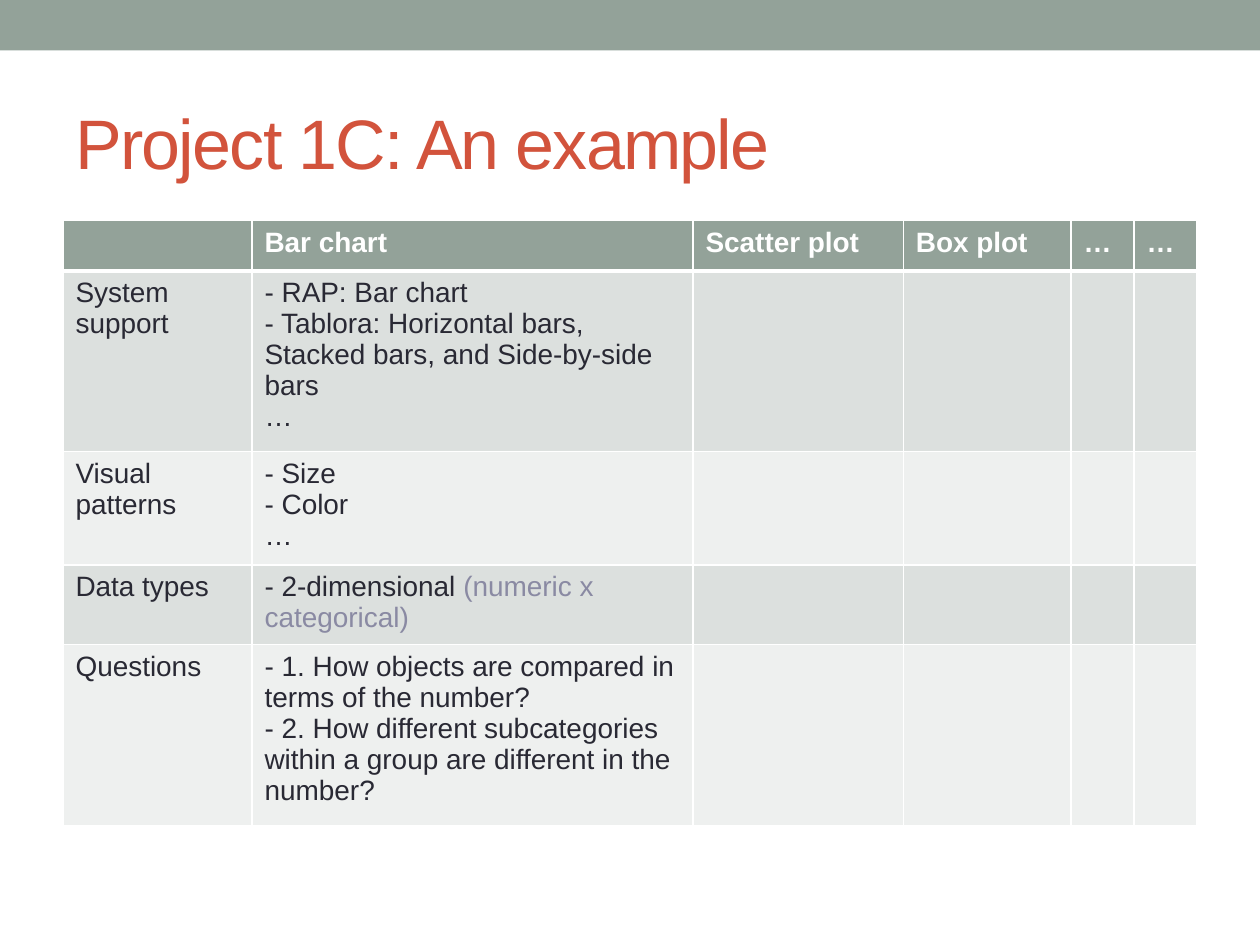
"""Build a slide with a table comparing chart types for Project 1C."""
from lxml.etree import SubElement
from pptx import Presentation
from pptx.dml.color import RGBColor
from pptx.enum.shapes import MSO_SHAPE
from pptx.enum.text import MSO_ANCHOR
from pptx.oxml.ns import qn
from pptx.util import Inches, Pt

SAGE = RGBColor(0x93, 0xA2, 0x99)
RED = RGBColor(0xD2, 0x53, 0x3C)
DARK = RGBColor(0x29, 0x29, 0x34)
MUTED = RGBColor(0x8A, 0x8A, 0xA3)
WHITE = RGBColor(0xFF, 0xFF, 0xFF)
BANDS = [RGBColor(0xDC, 0xE0, 0xDE), RGBColor(0xEE, 0xF0, 0xEF)]


def add_text(p, text, size=16, color=DARK, bold=False, spacing=None):
    r = p.add_run()
    r.text = text
    r.font.name = "Arial"
    r.font.size = Pt(size)
    r.font.bold = bold
    r.font.color.rgb = color
    if spacing is not None:
        r._r.get_or_add_rPr().set("spc", str(spacing))


def set_borders(cell, **widths):
    tcPr = cell._tc.get_or_add_tcPr()
    for side in ("L", "R", "T", "B"):
        ln = SubElement(tcPr, qn(f"a:ln{side}"), w=str(Pt(widths.get(side, 1))))
        fill = SubElement(ln, qn("a:solidFill"))
        SubElement(fill, qn("a:srgbClr"), val=str(WHITE))


prs = Presentation()
prs.slide_width = Inches(10)
prs.slide_height = Inches(7.5)
s = prs.slides.add_slide(prs.slide_layouts[6])

sp = s.shapes.add_shape(MSO_SHAPE.RECTANGLE, 0, 0, Inches(10), Inches(0.4))
sp.shadow.inherit = False
sp.fill.solid()
sp.fill.fore_color.rgb = SAGE
sp.line.fill.background()

sp = s.shapes.add_textbox(Inches(0.5), Inches(0.58), Inches(9), Inches(1.08))
tf = sp.text_frame
tf.word_wrap = True
tf.vertical_anchor = MSO_ANCHOR.MIDDLE
add_text(tf.paragraphs[0], "Project 1C: An example", size=40, color=RED, spacing=-100)

headers = ["", "Bar chart", "Scatter plot", "Box plot", "…", "…"]
body = [
    ("System support", ["- RAP: Bar chart",
                        "- Tablora: Horizontal bars, Stacked bars, and Side-by-side bars",
                        "…"]),
    ("Visual patterns", ["- Size", "- Color", "…"]),
    ("Data types", ["- 2-dimensional "]),
    ("Questions", ["- 1. How objects are compared in terms of the number?",
                   "- 2. How different subcategories within a group are different in the number?"]),
]
col_widths = [1.5, 3.5, 1.67, 1.33, 0.5, 0.5]
row_heights = [0.4, 1.34, 0.84, 0.59, 1.33]

table = s.shapes.add_table(len(row_heights), len(col_widths), Inches(0.5), Inches(1.75),
                           Inches(9), Inches(sum(row_heights))).table
for col, width in zip(table.columns, col_widths):
    col.width = Inches(width)
for row, height in zip(table.rows, row_heights):
    row.height = Inches(height)

for i, row in enumerate(table.rows):
    for cell in row.cells:
        if i == 0:
            set_borders(cell, B=3)
        elif i == 1:
            set_borders(cell, T=3)
        else:
            set_borders(cell)
        cell.fill.solid()
        cell.fill.fore_color.rgb = BANDS[(i - 1) % 2] if i else SAGE

for j, header in enumerate(headers):
    if header:
        add_text(table.cell(0, j).text_frame.paragraphs[0], header, color=WHITE, bold=True)

for i, (label, lines) in enumerate(body, start=1):
    add_text(table.cell(i, 0).text_frame.paragraphs[0], label)
    tf = table.cell(i, 1).text_frame
    for n, line in enumerate(lines):
        p = tf.add_paragraph() if n else tf.paragraphs[0]
        add_text(p, line)
    if label == "Data types":
        add_text(p, "(numeric x categorical)", color=MUTED)

prs.save("out.pptx")
